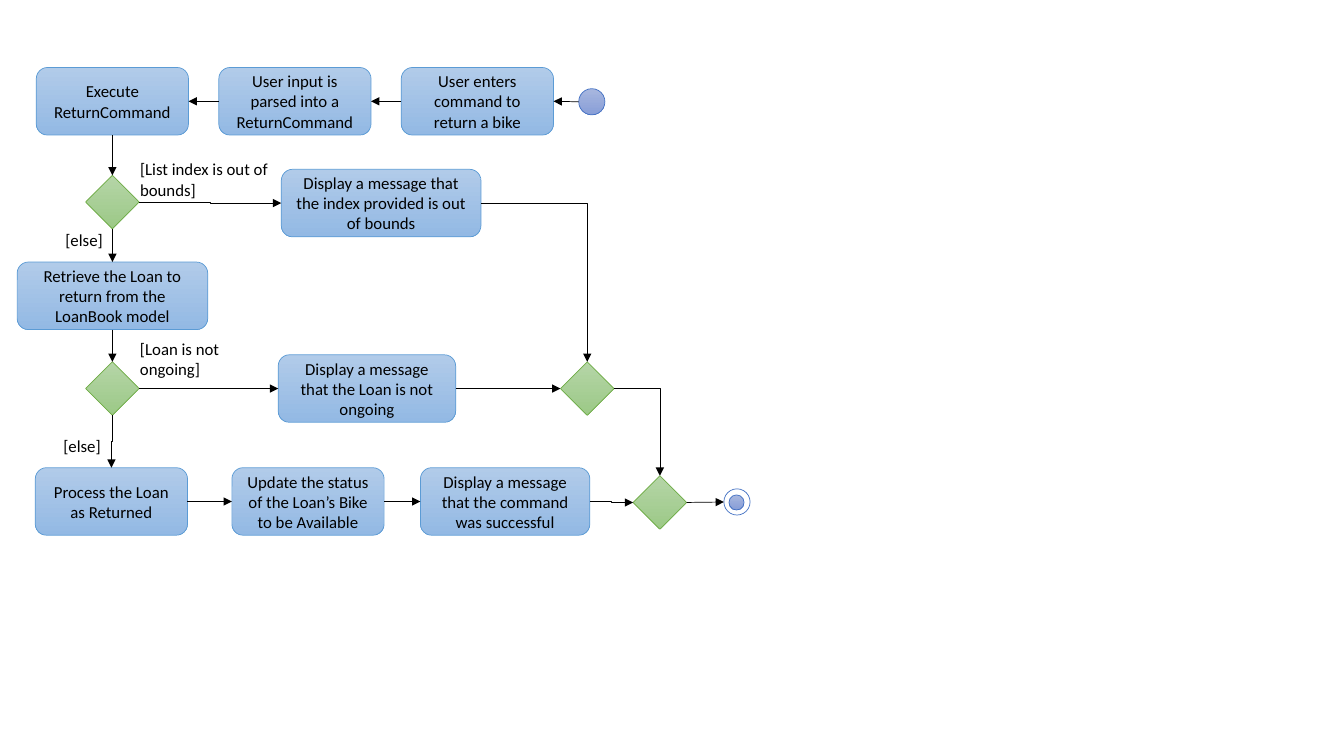
import dataclasses

import pptx
import pptx.dml.color
import pptx.enum.shapes
import pptx.enum.text
import pptx.oxml
import pptx.oxml.ns
import pptx.util

Inches = pptx.util.Inches
Pt = pptx.util.Pt
Rgb = pptx.dml.color.RGBColor.from_string
Preset = pptx.enum.shapes.MSO_SHAPE
Route = pptx.enum.shapes.MSO_CONNECTOR

TOP, LEFT, BOTTOM, RIGHT = range(4)
STEP_HEIGHT = 0.67
DECISION_SIZE = 0.53
NODE_SIZE = 0.26


@dataclasses.dataclass(frozen=True)
class Theme:
    """Colours and type sizes of the activity diagram."""
    font: str = "Calibri"
    text_size: int = 12
    line_width: float = 0.5
    ink: str = "000000"
    paper: str = "FFFFFF"
    step: tuple = ("B1CBE9", "93B9E4", "5B9BD5")
    decision: tuple = ("B5D5A7", "9CC987", "70AD47")
    node: tuple = ("A8B7DF", "889ED7", "4472C4")


THEME = Theme()


def add_figure(shapes, preset, box, palette):
    """Add a preset shape with a vertical gradient and a thin outline."""
    figure = shapes.add_shape(preset, *map(Inches, box))
    figure.shadow.inherit = False
    top_colour, bottom_colour, outline = palette
    figure.fill.gradient()
    figure.fill.gradient_angle = 270
    for stop, colour in zip(figure.fill.gradient_stops, (top_colour, bottom_colour)):
        stop.color.rgb = Rgb(colour)
    figure.line.color.rgb = Rgb(outline)
    figure.line.width = Pt(THEME.line_width)
    return figure


def write(frame, text, align):
    """Write one wrapped paragraph in the diagram's type style."""
    frame.word_wrap = True
    paragraph = frame.paragraphs[0]
    paragraph.alignment = align
    run = paragraph.add_run()
    run.text = text
    run.font.name = THEME.font
    run.font.size = Pt(THEME.text_size)
    run.font.color.rgb = Rgb(THEME.ink)


def add_step(slide, text, left, top, width=1.51):
    """Add a rounded action box."""
    step = add_figure(slide.shapes, Preset.ROUNDED_RECTANGLE,
                      (left, top, width, STEP_HEIGHT), THEME.step)
    step.text_frame.vertical_anchor = pptx.enum.text.MSO_ANCHOR.MIDDLE
    write(step.text_frame, text, pptx.enum.text.PP_ALIGN.CENTER)
    return step


def add_decision(slide, left, top):
    """Add a diamond where the flow branches or merges."""
    return add_figure(slide.shapes, Preset.DIAMOND,
                      (left, top, DECISION_SIZE, DECISION_SIZE), THEME.decision)


def add_node(shapes, left, top, size=NODE_SIZE):
    """Add a round start or end node."""
    return add_figure(shapes, Preset.OVAL, (left, top, size, size), THEME.node)


def add_end_node(slide, left, top):
    """Add the ringed end node as a group and return its outer ring."""
    group = slide.shapes.add_group_shape()
    ring = add_node(group.shapes, left, top)
    ring.fill.solid()
    ring.fill.fore_color.rgb = Rgb(THEME.paper)
    add_node(group.shapes, left + 0.05, top + 0.06, 0.15)
    return ring


def add_guard(slide, text, left, top, width, height):
    """Add the condition beside a branch."""
    guard = slide.shapes.add_textbox(*map(Inches, (left, top, width, height)))
    write(guard.text_frame, text, pptx.enum.text.PP_ALIGN.LEFT)
    guard.text_frame.auto_size = pptx.enum.text.MSO_AUTO_SIZE.SHAPE_TO_FIT_TEXT


def side_point(figure, side):
    """Return the middle of one side of a figure."""
    across = {LEFT: 0, RIGHT: figure.width}.get(side, figure.width // 2)
    down = {TOP: 0, BOTTOM: figure.height}.get(side, figure.height // 2)
    return figure.left + across, figure.top + down


def turn_down(arrow):
    """Rotate an elbow so that it leaves and arrives vertically."""
    centre_x = arrow.left + arrow.width // 2
    centre_y = arrow.top + arrow.height // 2
    length, offset = arrow.height, arrow.width
    xfrm = arrow._element.spPr.get_or_add_xfrm()
    xfrm.flipH = False
    xfrm.set("rot", "5400000")
    arrow.left, arrow.top = centre_x - length // 2, centre_y - offset // 2
    arrow.width, arrow.height = length, offset


def add_arrow(slide, start, start_side, end, end_side, route=Route.ELBOW):
    """Join two figures with an arrow, glued to all but the round nodes."""
    arrow = slide.shapes.add_connector(
        route, *side_point(start, start_side), *side_point(end, end_side))
    if start.auto_shape_type != Preset.OVAL:
        arrow.begin_connect(start, start_side)
    if end.auto_shape_type != Preset.OVAL:
        arrow.end_connect(end, end_side)
    arrow.line.color.rgb = Rgb(THEME.ink)
    arrow.line.width = Pt(THEME.line_width)
    properties = arrow._element.spPr
    head = pptx.oxml.parse_xml(
        '<a:tailEnd %s type="triangle"/>' % pptx.oxml.ns.nsdecls("a"))
    arrow.line._get_or_add_ln().append(head)
    properties.append(pptx.oxml.parse_xml(
        "<a:effectLst %s/>" % pptx.oxml.ns.nsdecls("a")))
    if route == Route.ELBOW and end_side == TOP:
        if start_side == BOTTOM:
            turn_down(arrow)
        else:
            properties.prstGeom.set("prst", "bentConnector2")


def main():
    """Build the activity diagram for returning a bike."""
    deck = pptx.Presentation()
    deck.slide_width, deck.slide_height = Inches(13.33), Inches(7.5)
    slide = deck.slides.add_slide(deck.slide_layouts[6])

    begin = add_node(slide.shapes, 5.74, 0.88)
    execute, parse_input, enter = [
        add_step(slide, text, 0.36 + 1.81 * column, 0.67)
        for column, text in enumerate((
            "Execute ReturnCommand",
            "User input is parsed into a ReturnCommand",
            "User enters command to return a bike"))]
    index_check = add_decision(slide, 0.85, 1.74)
    bad_index = add_step(
        slide, "Display a message that the index provided is out of bounds",
        2.79, 1.68, 1.98)
    retrieve = add_step(
        slide, "Retrieve the Loan to return from the LoanBook model", 0.17, 2.6, 1.89)
    ongoing_check = add_decision(slide, 0.85, 3.59)
    not_ongoing = add_step(
        slide, "Display a message that the Loan is not ongoing", 2.76, 3.52, 1.76)
    error_merge = add_decision(slide, 5.56, 3.59)
    process = add_step(slide, "Process the Loan as Returned", 0.35, 4.64)
    update = add_step(
        slide, "Update the status of the Loan’s Bike to be Available", 2.3, 4.64)
    success = add_step(
        slide, "Display a message that the command was successful", 4.17, 4.64, 1.68)
    final_merge = add_decision(slide, 6.28, 4.72)
    finish = add_end_node(slide, 7.18, 4.85)

    add_guard(slide, "[List index is out of bounds]", 1.29, 1.53, 1.51, 0.5)
    add_guard(slide, "[else]", 0.55, 2.23, 0.61, 0.3)
    add_guard(slide, "[Loan is not ongoing]", 1.29, 3.31, 1.43, 0.5)
    add_guard(slide, "[else]", 0.53, 4.27, 0.61, 0.3)

    for start, end in ((begin, enter), (enter, parse_input), (parse_input, execute)):
        add_arrow(slide, start, LEFT, end, RIGHT, Route.STRAIGHT)
    add_arrow(slide, execute, BOTTOM, index_check, TOP, Route.STRAIGHT)
    for start, end in ((index_check, retrieve), (retrieve, ongoing_check),
                       (ongoing_check, process)):
        add_arrow(slide, start, BOTTOM, end, TOP)
    for start, end in ((index_check, bad_index), (ongoing_check, not_ongoing),
                       (not_ongoing, error_merge), (process, update),
                       (update, success), (success, final_merge)):
        add_arrow(slide, start, RIGHT, end, LEFT)
    for start, end in ((bad_index, error_merge), (error_merge, final_merge)):
        add_arrow(slide, start, RIGHT, end, TOP)
    add_arrow(slide, final_merge, RIGHT, finish, LEFT, Route.STRAIGHT)

    deck.save("out.pptx")


main()
